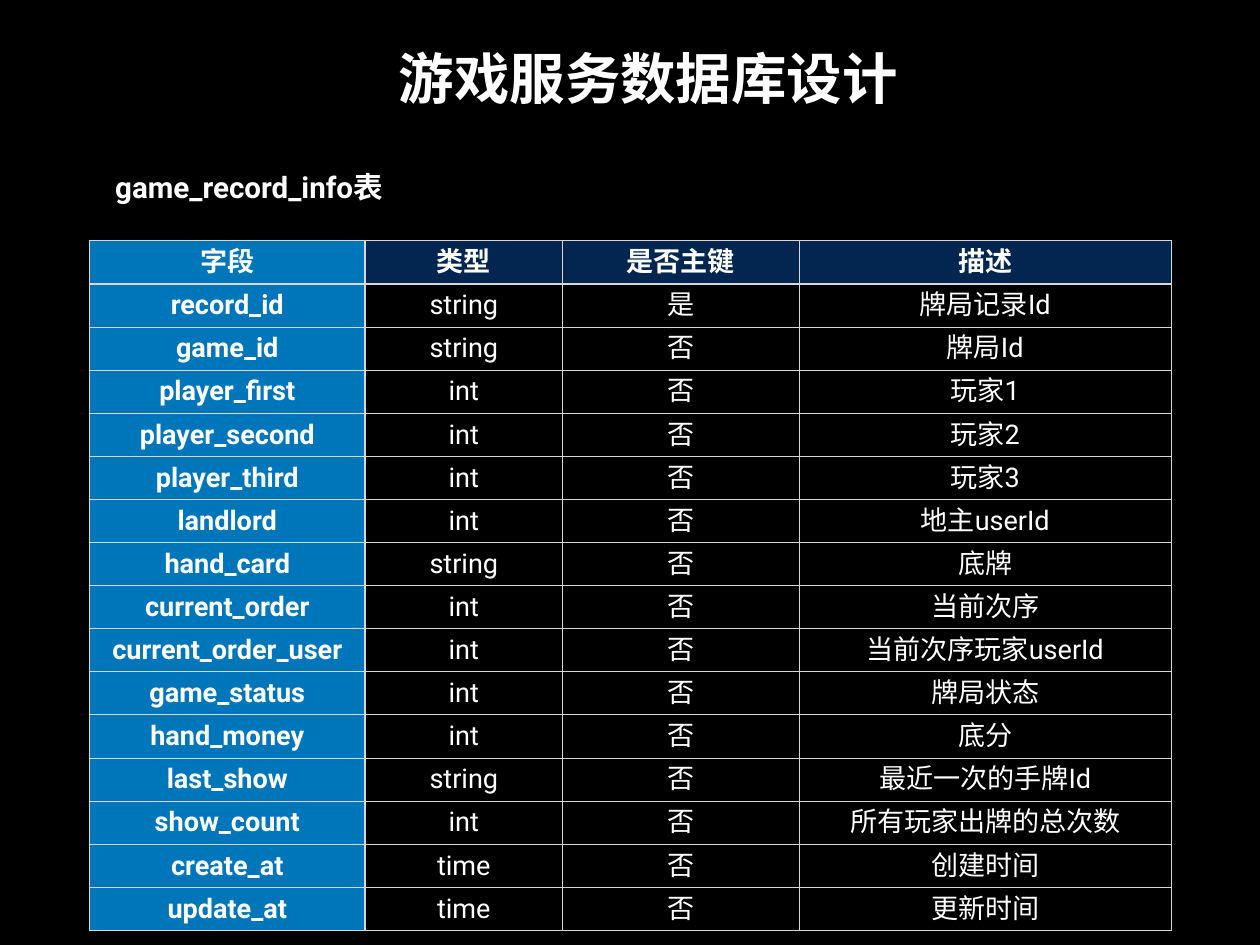
from lxml import etree
from pptx import Presentation
from pptx.dml.color import RGBColor
from pptx.enum import text
from pptx.oxml import ns
from pptx.util import Inches, Pt

FONT = "Roboto"
PAD = Inches(0.06)
HUE = {"back": "000000", "text": "FFFFFF", "head": "032650",
       "field": "0076BA", "line": "D6D7D6"}


def write(frame, words, size, bold):
    para = frame.paragraphs[0]
    para.alignment = text.PP_ALIGN.CENTER
    run = para.add_run()
    run.text = words
    run.font.name = FONT
    run.font.size = Pt(size)
    run.font.bold = bold
    run.font.color.rgb = RGBColor.from_string(HUE["text"])
    # Chinese text takes its font from a:ea
    etree.SubElement(run.font._element, ns.qn("a:ea"), typeface=FONT)


def edge(cell, side, width):
    """Draw one border of a cell; side is L, R, T or B."""
    line = etree.SubElement(cell._tc.get_or_add_tcPr(), ns.qn("a:ln" + side),
                            w=str(Pt(width)))
    fill = etree.SubElement(line, ns.qn("a:solidFill"))
    etree.SubElement(fill, ns.qn("a:srgbClr"), val=HUE["line"])


deck = Presentation()
deck.slide_width = Inches(14.22)
deck.slide_height = Inches(10.67)
slide = deck.slides.add_slide(deck.slide_layouts[6])
slide.background.fill.solid()
slide.background.fill.fore_color.rgb = RGBColor.from_string(HUE["back"])

# Title and table name
titles = [
    ("游戏服务数据库设计", 45, (4.44, 0.38, 5.75, 0.99)),
    ("game_record_info表", 24, (1.15, 1.82, 3.32, 0.57)),
]
for words, size, place in titles:
    box = slide.shapes.add_textbox(*map(Inches, place))
    frame = box.text_frame
    frame.word_wrap = False
    frame.auto_size = text.MSO_AUTO_SIZE.SHAPE_TO_FIT_TEXT
    frame.vertical_anchor = text.MSO_ANCHOR.MIDDLE
    frame.margin_left = frame.margin_right = PAD
    frame.margin_top = frame.margin_bottom = PAD
    write(frame, words, size, True)

# Field table
rows = [
    ("字段", "类型", "是否主键", "描述"),
    ("record_id", "string", "是", "牌局记录Id"),
    ("game_id", "string", "否", "牌局Id"),
    ("player_first", "int", "否", "玩家1"),
    ("player_second", "int", "否", "玩家2"),
    ("player_third", "int", "否", "玩家3"),
    ("landlord", "int", "否", "地主userId"),
    ("hand_card", "string", "否", "底牌"),
    ("current_order", "int", "否", "当前次序"),
    ("current_order_user", "int", "否", "当前次序玩家userId"),
    ("game_status", "int", "否", "牌局状态"),
    ("hand_money", "int", "否", "底分"),
    ("last_show", "string", "否", "最近一次的手牌Id"),
    ("show_count", "int", "否", "所有玩家出牌的总次数"),
    ("create_at", "time", "否", "创建时间"),
    ("update_at", "time", "否", "更新时间"),
]
widths = [3.11, 2.23, 2.67, 4.2]
high = 0.47
table = slide.shapes.add_table(
    len(rows), len(widths), Inches(1.01), Inches(2.72),
    Inches(sum(widths)), Inches(high * len(rows))).table
table.first_row = table.horz_banding = False
for col, width in zip(table.columns, widths):
    col.width = Inches(width)

for r, row in enumerate(rows):
    table.rows[r].height = Inches(high)
    for c, words in enumerate(row):
        cell = table.cell(r, c)
        cell.vertical_anchor = text.MSO_ANCHOR.MIDDLE
        cell.margin_left = cell.margin_right = PAD
        cell.margin_top = cell.margin_bottom = PAD
        write(cell.text_frame, words, 22, r == 0 or c == 0)
        edge(cell, "L", 2 if c == 1 else 1)
        edge(cell, "R", 2 if c == 0 else 1)
        edge(cell, "T", 2 if r == 1 and c else 1)
        edge(cell, "B", 2 if r == 0 and c else 1)
        if r and c:
            cell.fill.background()
        else:
            cell.fill.solid()
            hue = HUE["head"] if c else HUE["field"]
            cell.fill.fore_color.rgb = RGBColor.from_string(hue)

deck.save("out.pptx")
